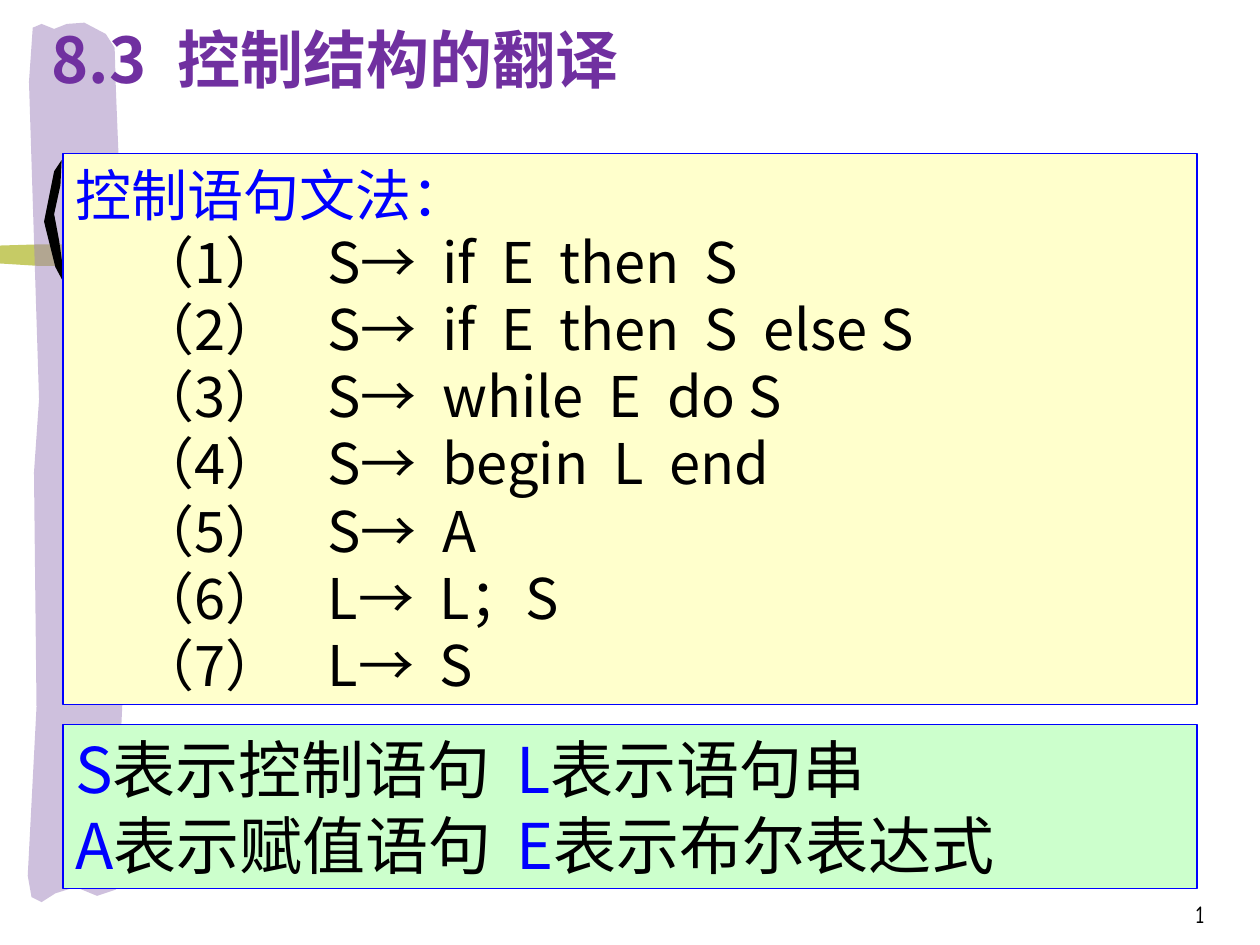
"""Build the slide on the translation of control structures."""
from dataclasses import dataclass

from lxml.etree import SubElement
from pptx import Presentation
from pptx.dml.color import RGBColor
from pptx.enum.shapes import MSO_SHAPE as Preset
from pptx.enum.text import MSO_ANCHOR as Anchor, MSO_AUTO_SIZE as AutoSize, PP_ALIGN as Align
from pptx.oxml.ns import qn
from pptx.util import Inches, Pt

BLACK = RGBColor(0x00, 0x00, 0x00)
BLUE = RGBColor(0x00, 0x00, 0xFF)
PURPLE = RGBColor(0x70, 0x30, 0xA0)
CREAM = RGBColor(0xFF, 0xFF, 0xCC)
MINT = RGBColor(0xCC, 0xFF, 0xCC)
OLIVE = RGBColor(0xC6, 0xCB, 0x65)
LILAC = RGBColor(0x9F, 0x83, 0xBD)
SANS = "Noto Sans CJK JP"
COMIC = "Comic Neue"
WORD_GAP = 7.2


@dataclass
class Brush:
    outline: list
    color: RGBColor
    opacity: int = 100


@dataclass
class Span:
    text: str
    color: RGBColor = BLACK
    spacing: float = 0


@dataclass
class Style:
    size: int
    font: str = SANS
    bold: bool = False
    align: Align = Align.LEFT


@dataclass
class Production:
    words: tuple
    tab: float = 1.93


@dataclass
class Meaning:
    symbol: str
    text: str


BRUSHES = [
    Brush([(-0.03, 1.95), (0.3, 1.94), (7.02, 1.96), (7.49, 2.06),
           (7.06, 2.1), (0.3, 2.11), (-0.02, 2.09)], OLIVE),
    Brush([(0.29, 5.61), (0.27, 3.75), (0.31, 3.17), (0.23, 0.65), (0.26, 0.22),
           (0.33, 0.19), (0.43, 0.23), (0.53, 0.19), (0.67, 0.18), (0.84, 0.27),
           (0.91, 0.38), (0.92, 0.71), (0.97, 1.95), (0.94, 3.91), (1, 4.95),
           (0.96, 5.83), (0.96, 6.95), (0.92, 7.06), (0.77, 7.11), (0.6, 7.04),
           (0.44, 7.09), (0.33, 7.16), (0.25, 7.12), (0.22, 6.95)], LILAC, opacity=50),
    Brush([(0.49, 1.27), (0.48, 1.47), (0.43, 1.7), (0.47, 1.91), (0.52, 2.27),
           (0.44, 2.12), (0.35, 1.76), (0.43, 1.36)], BLACK),
]
PRODUCTIONS = [
    Production(("S→", "if", "E", "then", "S"), tab=2.03),
    Production(("S→", "if", "E", "then", "S", "else S")),
    Production(("S→", "while", "E", "do S")),
    Production(("S→", "begin", "L", "end")),
    Production(("S→", "A")),
    Production(("L→", "L；S")),
    Production(("L→", "S")),
]
MEANINGS = [
    (Meaning("S", "表示控制语句"), Meaning("L", "表示语句串")),
    (Meaning("A", "表示赋值语句"), Meaning("E", "表示布尔表达式")),
]


def draw_brush(page, brush: Brush) -> None:
    corners = [(Inches(x), Inches(y)) for x, y in brush.outline]
    builder = page.shapes.build_freeform(*corners[0])
    builder.add_line_segments(corners[1:], close=True)
    shape = builder.convert_to_shape()
    shape.shadow.inherit = False
    shape.fill.solid()
    shape.fill.fore_color.rgb = brush.color
    shape.line.fill.background()
    if brush.opacity < 100:
        color = shape.element.spPr.find(qn("a:solidFill"))[0]
        SubElement(color, qn("a:alpha"), val=str(brush.opacity * 1000))


def place(box, left: float, top: float, width: float, height: float,
          anchor: Anchor = Anchor.TOP) -> None:
    box.left, box.top = Inches(left), Inches(top)
    box.width, box.height = Inches(width), Inches(height)
    frame = box.text_frame
    frame.word_wrap = True
    frame.auto_size = AutoSize.NONE
    frame.vertical_anchor = anchor


def paint_panel(box, fill: RGBColor) -> None:
    box.fill.solid()
    box.fill.fore_color.rgb = fill
    box.line.color.rgb = BLUE
    box.line.width = Pt(0.75)


def write(box, lines: list, style: Style) -> None:
    frame = box.text_frame
    for index, (spans, tabs) in enumerate(lines):
        para = frame.add_paragraph() if index else frame.paragraphs[0]
        props = para._p.get_or_add_pPr()
        props.set("marL", "0")
        props.set("indent", "0")
        SubElement(props, qn("a:buNone"))
        if tabs:
            stops = SubElement(props, qn("a:tabLst"))
            for tab in tabs:
                SubElement(stops, qn("a:tab"), pos=str(Inches(tab)), algn="l")
        para.space_before = Pt(0)
        para.alignment = style.align
        for span in spans:
            run = para.add_run()
            run.text = span.text
            font = run.font
            font.size, font.name, font.bold = Pt(style.size), style.font, style.bold
            font.color.rgb = span.color
            SubElement(run._r.rPr, qn("a:ea"), typeface=style.font)
            if span.spacing:
                run._r.rPr.set("spc", str(round(span.spacing * 100)))


def production_line(number: int, production: Production) -> tuple:
    spans = [Span(f"\t（{number}）\t")]
    for index, word in enumerate(production.words):
        if index:
            spans.append(Span(" ", spacing=WORD_GAP))
        spans.append(Span(word))
    return spans, (0.4, production.tab)


def meaning_line(left: Meaning, right: Meaning) -> tuple:
    return [Span(left.symbol, BLUE), Span(left.text + "\t"),
            Span(right.symbol, BLUE), Span(right.text)], (4,)


def main() -> None:
    deck = Presentation()
    deck.slide_width, deck.slide_height = Inches(10), Inches(7.5)
    page = deck.slides.add_slide(deck.slide_layouts[1])
    title, grammar = page.shapes.title, page.placeholders[1]
    for brush in BRUSHES:
        draw_brush(page, brush)

    number = page.shapes.add_textbox(0, 0, 0, 0)
    place(number, 7.58, 6.92, 2.08, 0.5, Anchor.BOTTOM)
    write(number, [([Span("1")], ())], Style(14, COMIC, align=Align.RIGHT))

    place(grammar, 0.5, 1.22, 9, 4.37)
    paint_panel(grammar, CREAM)
    rules = [production_line(n, rule) for n, rule in enumerate(PRODUCTIONS, 1)]
    write(grammar, [([Span("控制语句文法：", BLUE)], ())] + rules, Style(32))

    legend = page.shapes.add_shape(Preset.RECTANGLE, 0, 0, 0, 0)
    legend.shadow.inherit = False
    place(legend, 0.5, 5.75, 9, 1.3)
    paint_panel(legend, MINT)
    write(legend, [meaning_line(*pair) for pair in MEANINGS], Style(36))

    place(title, 0.31, 0.11, 8.5, 0.91)
    write(title, [([Span("8.3\t控制结构的翻译", PURPLE)], (1.32,))], Style(36, bold=True))
    for box in (grammar, legend, title):
        box.element.getparent().append(box.element)
    deck.save("out.pptx")


if __name__ == "__main__":
    main()
